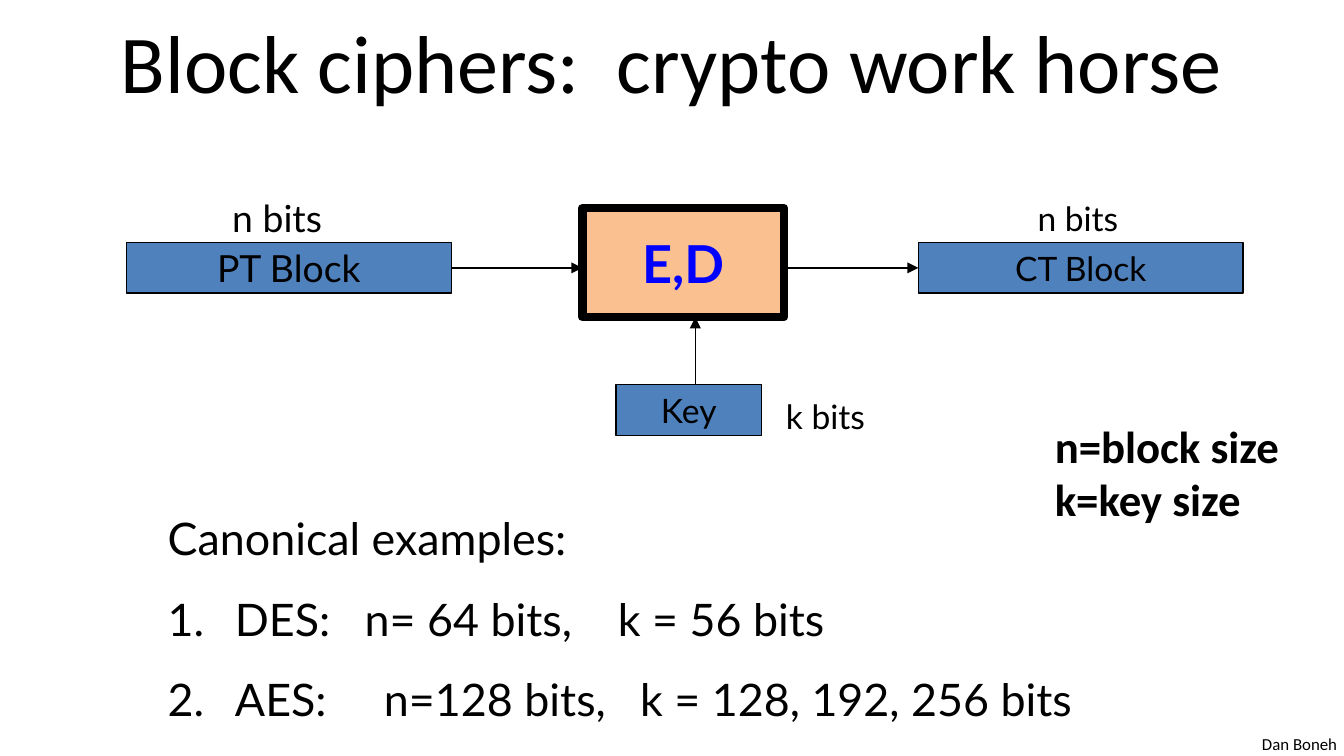
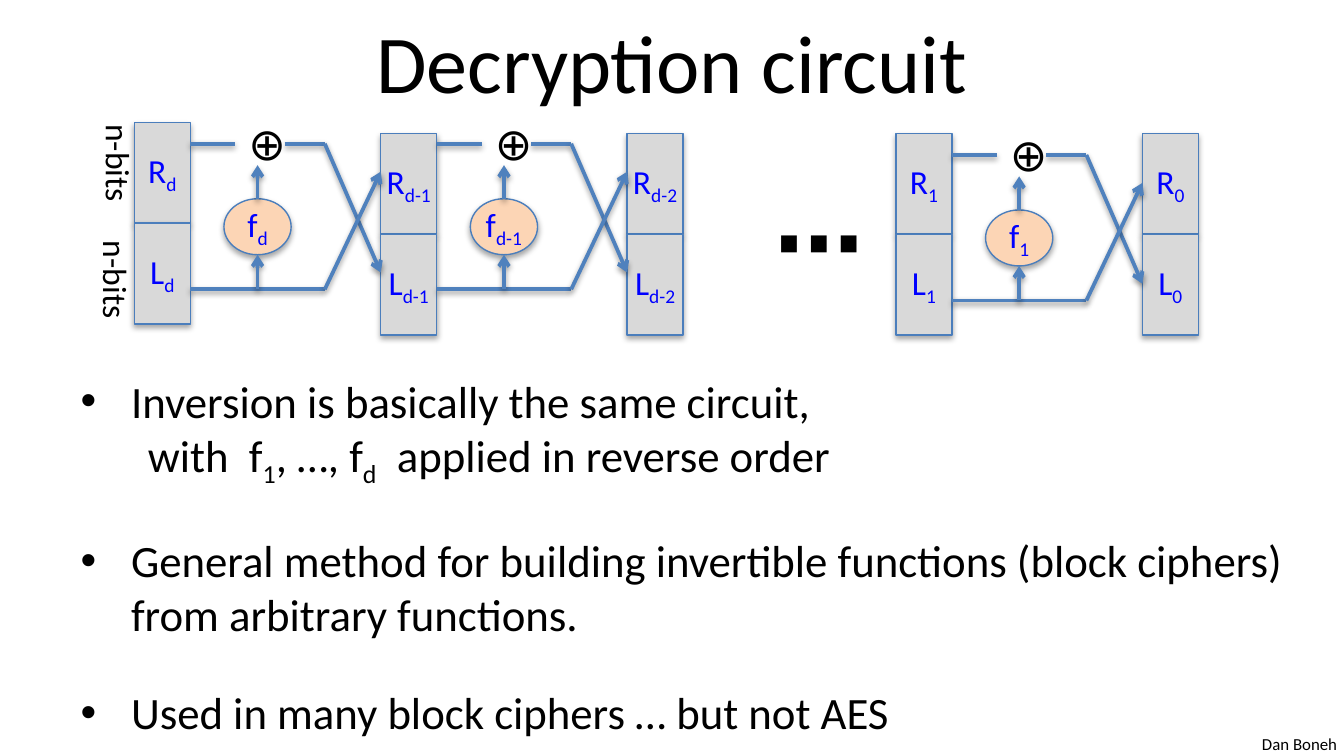
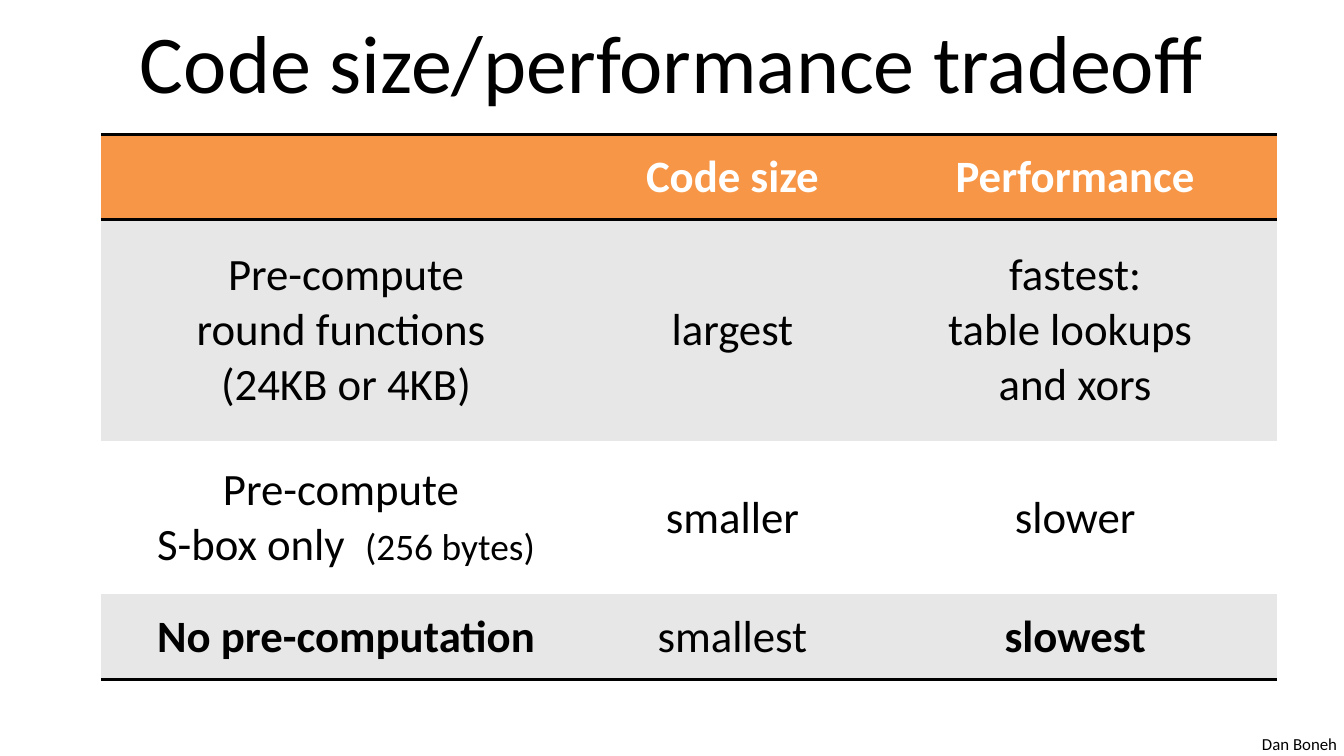
from lxml.etree import SubElement
from pptx import Presentation
from pptx.dml.color import RGBColor
from pptx.enum.shapes import MSO_CONNECTOR, MSO_SHAPE
from pptx.enum.text import MSO_ANCHOR, MSO_AUTO_SIZE, PP_ALIGN
from pptx.oxml.ns import qn
from pptx.util import Pt

BLACK, WHITE, BLUE_TEXT = "000000", "FFFFFF", "0000FF"
BLOCK, EDGE, REGISTER = "4F81BD", "4B7EBC", "D9D9D9"
CIPHER, ROUND = "FAC090", "FCD5B5"
HEADER, BAND = "F79646", "E7E7E7"
CENTER = PP_ALIGN.CENTER


def paint(fill, color):
    fill.solid()
    fill.fore_color.rgb = RGBColor.from_string(color)


# "\n" starts a paragraph, "\v" a line, "~" toggles subscript or alt_size
def write(tf, text, size=18, font="Calibri", color=BLACK, bold=False,
          align=PP_ALIGN.LEFT, alt_size=None):
    for k, paragraph in enumerate(text.split("\n")):
        p = tf.add_paragraph() if k else tf.paragraphs[0]
        p.alignment = align
        for j, line in enumerate(paragraph.split("\v")):
            if j:
                p.add_line_break()
            for i, part in enumerate(line.split("~")):
                r = p.add_run()
                r.text = part
                r.font.name, r.font.bold = font, bold
                r.font.size = Pt(alt_size if alt_size and i % 2 else size)
                paint(r.font.fill, color)
                if i % 2 and not alt_size:
                    r.font._element.set("baseline", "-25000")


prs = Presentation()
prs.slide_width, prs.slide_height = Pt(720), Pt(405)

slides, labels = [], []
for title, layout in (("Block ciphers:  crypto work horse", 5),
                      ("Decryption circuit", 1),
                      ("Code size/performance tradeoff", 5)):
    s = prs.slides.add_slide(prs.slide_layouts[layout])
    sp = s.shapes.title
    sp.left, sp.top, sp.width, sp.height = Pt(36), Pt(-1.5), Pt(648), Pt(67.5)
    tf = sp.text_frame
    tf.auto_size, tf.vertical_anchor = MSO_AUTO_SIZE.NONE, MSO_ANCHOR.MIDDLE
    write(tf, title, size=44, align=CENTER)
    slides.append(s)
    labels.append((s, 669, 389.5, 54.7, 18, 0, "Dan Boneh", dict(size=9)))
cipher, circuit, tradeoff = slides

lato = dict(font="Lato", align=CENTER)
boxes = [
    (cipher, MSO_SHAPE.RECTANGLE, 312, 111.6, 108, 58.4, CIPHER, BLACK, 4.5,
     "E,D", dict(lato, size=28, color=BLUE_TEXT, bold=True)),
]
for x, y, w, text, size in ((492, 129.8, 174, "CT Block", 18),
                            (67.8, 129.8, 174, "PT Block", 20),
                            (330, 206, 78, "Key", 18)):
    boxes.append((cipher, MSO_SHAPE.RECTANGLE, x, y, w, 27.3, BLOCK, BLACK, 0.75,
                  text, dict(lato, size=size)))
for x, y, w, h, text, size in ((548, 102.5, 59, 29, "n bits", 18),
                               (116.8, 101, 63.4, 31.5, "n bits", 20),
                               (413.5, 208.3, 57.6, 29, "k bits", 18)):
    labels.append((cipher, x, y, w, h, 0, text, dict(lato, size=size)))
labels.append((cipher, 558, 220.5, 136, 65.5, 0, "n=block size\nk=key size",
               dict(size=24, bold=True)))
lines = [(cipher, *ends, BLACK, 0.75, "triangle")
         for ends in ((242, 143.5, 312, 143.5), (420, 143.5, 492, 143.5),
                      (372.5, 206, 372.5, 170))]

tf = cipher.shapes.add_textbox(Pt(82.8), Pt(270), Pt(524), Pt(121)).text_frame
tf.word_wrap = False
write(tf, "Canonical examples:\nDES:   n= 64 bits,    k = 56 bits\n"
          "AES:     n=128 bits,   k = 128, 192, 256 bits", size=24, font="Lato")
for i, p in enumerate(tf.paragraphs):
    if i:
        p.line_spacing = 1.5
    pPr = p._p.get_or_add_pPr()
    pPr.set("marL", str(Pt(36)))
    pPr.set("indent", str(Pt(-36)))
    if i:
        SubElement(pPr, qn("a:buAutoNum"), type="arabicPeriod")

sp = circuit.placeholders[1]
sp.left, sp.top, sp.width, sp.height = Pt(36), Pt(196.5), Pt(672), Pt(208.5)
tf = sp.text_frame
tf.auto_size = MSO_AUTO_SIZE.NONE
write(tf, "Inversion is basically the same circuit, \v\twith  f~1~, …, f~d~"
          "  applied in reverse order\n"
          "General method for building invertible functions (block ciphers) "
          "from arbitrary functions.\n"
          "Used in many block ciphers … but not AES", size=24)
for i, p in enumerate(tf.paragraphs):
    p.space_before = Pt(23.8 if i else 0)
    pPr = p._p.get_or_add_pPr()
    pPr.set("marL", str(Pt(27)))
    pPr.set("indent", str(Pt(-27)))
    SubElement(pPr, qn("a:buChar"), char="•")

blue = dict(color=BLUE_TEXT, align=CENTER)
for x, y, index in ((72, 65.5, "d"), (204, 71.5, "d-1"), (336, 71.5, "d-2"),
                    (480, 71.5, "1"), (612, 71.5, "0")):
    for i, half in enumerate("RL"):
        boxes.append((circuit, MSO_SHAPE.RECTANGLE, x, y + 54 * i, 30, 54,
                      REGISTER, EDGE, 0.75, f"{half}~{index}", blue))

for x, y, index in ((102, 77, "d"), (234, 77, "d-1"), (510, 83, "1")):
    boxes.append((circuit, MSO_SHAPE.OVAL, x + 18, y + 29.5, 36, 30,
                  ROUND, EDGE, 0.75, f"f~{index}", blue))
    labels.append((circuit, x + 24, y - 18.5, 26.6, 36, 0, "⊕", dict(size=24)))
    for x1, y1, x2, y2, head in ((0, 78, 72, 78, None),
                                 (0, 0, 24, 0, None),
                                 (50.5, 0, 72, 0, None),
                                 (72, 0, 102, 69, "arrow"),
                                 (72, 78, 102, 15, "arrow"),
                                 (36, 78, 36, 59.5, "arrow"),
                                 (36, 29.5, 36, 11.5, "arrow")):
        lines.append((circuit, x + x1, y + y1, x + x2, y + y2, BLOCK, 2, head))
for x, y in ((35.3, 73.4), (33.8, 136)):
    labels.append((circuit, x, y, 57, 29, 90, "n-bits", {}))
labels.append((circuit, 408, 95.8, 39, 65.5, 0, "⋯", dict(size=48, bold=True)))

drawn = []
for s, kind, x, y, w, h, fill, edge, width, text, style in boxes:
    sp = s.shapes.add_shape(kind, Pt(x), Pt(y), Pt(w), Pt(h))
    paint(sp.fill, fill)
    paint(sp.line.fill, edge)
    sp.line.width = Pt(width)
    tf = sp.text_frame
    tf.word_wrap, tf.vertical_anchor = False, MSO_ANCHOR.MIDDLE
    tf.margin_left = tf.margin_right = 0
    write(tf, text, **style)
    drawn.append((s, sp, 1.8, 35000))

for s, x1, y1, x2, y2, color, width, head in lines:
    sp = s.shapes.add_connector(MSO_CONNECTOR.STRAIGHT, Pt(x1), Pt(y1), Pt(x2), Pt(y2))
    paint(sp.line.fill, color)
    sp.line.width = Pt(width)
    if head:
        SubElement(sp.line._get_or_add_ln(), qn("a:tailEnd"), type=head)
    drawn.append((s, sp, 1.6, 38000))

for s, sp, distance, alpha in drawn:
    effects = SubElement(sp._element.spPr, qn("a:effectLst"))
    if s is circuit:
        shadow = SubElement(effects, qn("a:outerShdw"), blurRad=str(Pt(3.1)),
                            dist=str(Pt(distance)), dir="5400000", rotWithShape="0")
        color = SubElement(shadow, qn("a:srgbClr"), val=BLACK)
        SubElement(color, qn("a:alpha"), val=str(alpha))

for s, x, y, w, h, turn, text, style in labels:
    sp = s.shapes.add_textbox(Pt(x), Pt(y), Pt(w), Pt(h))
    sp.rotation = turn
    tf = sp.text_frame
    tf.word_wrap, tf.auto_size = False, MSO_AUTO_SIZE.SHAPE_TO_FIT_TEXT
    write(tf, text, **style)

rows = (
    (45.5, HEADER, "TB", ("", "Code size", "Performance")),
    (119, BAND, "", ("Pre-compute\vround functions \v(24KB or 4KB)", "largest",
                     "fastest:\ntable lookups \vand xors")),
    (82, WHITE, "", ("Pre-compute \vS-box only  ~(256 bytes)", "smaller", "slower")),
    (45.5, BAND, "B", ("No pre-computation", "smallest", "slowest")),
)
table = tradeoff.shapes.add_table(4, 3, Pt(54), Pt(72), Pt(630), Pt(292)).table
table.first_row = table.horz_banding = False
table._tbl.tblPr.find(qn("a:tableStyleId")).text = "{2D5ABB26-0587-4C30-8999-92F81FD0307C}"
for column, width in zip(table.columns, (262.8, 151.2, 216)):
    column.width = Pt(width)
for i, (height, fill, sides, texts) in enumerate(rows):
    table.rows[i].height = Pt(height)
    for j, text in enumerate(texts):
        cell = table.cell(i, j)
        cell.vertical_anchor = MSO_ANCHOR.MIDDLE
        paint(cell.fill, fill)
        if text:
            write(cell.text_frame, text, size=24, align=CENTER, alt_size=20,
                  color=BLACK if i else WHITE,
                  bold=i == 0 or text in ("No pre-computation", "slowest"))
        tcPr = cell._tc.get_or_add_tcPr()
        for k, side in enumerate(sides):
            ln = SubElement(tcPr, qn(f"a:ln{side}"), w=str(Pt(2)))
            SubElement(SubElement(ln, qn("a:solidFill")), qn("a:srgbClr"), val=BLACK)
            tcPr.insert(k, ln)

prs.save("out.pptx")
